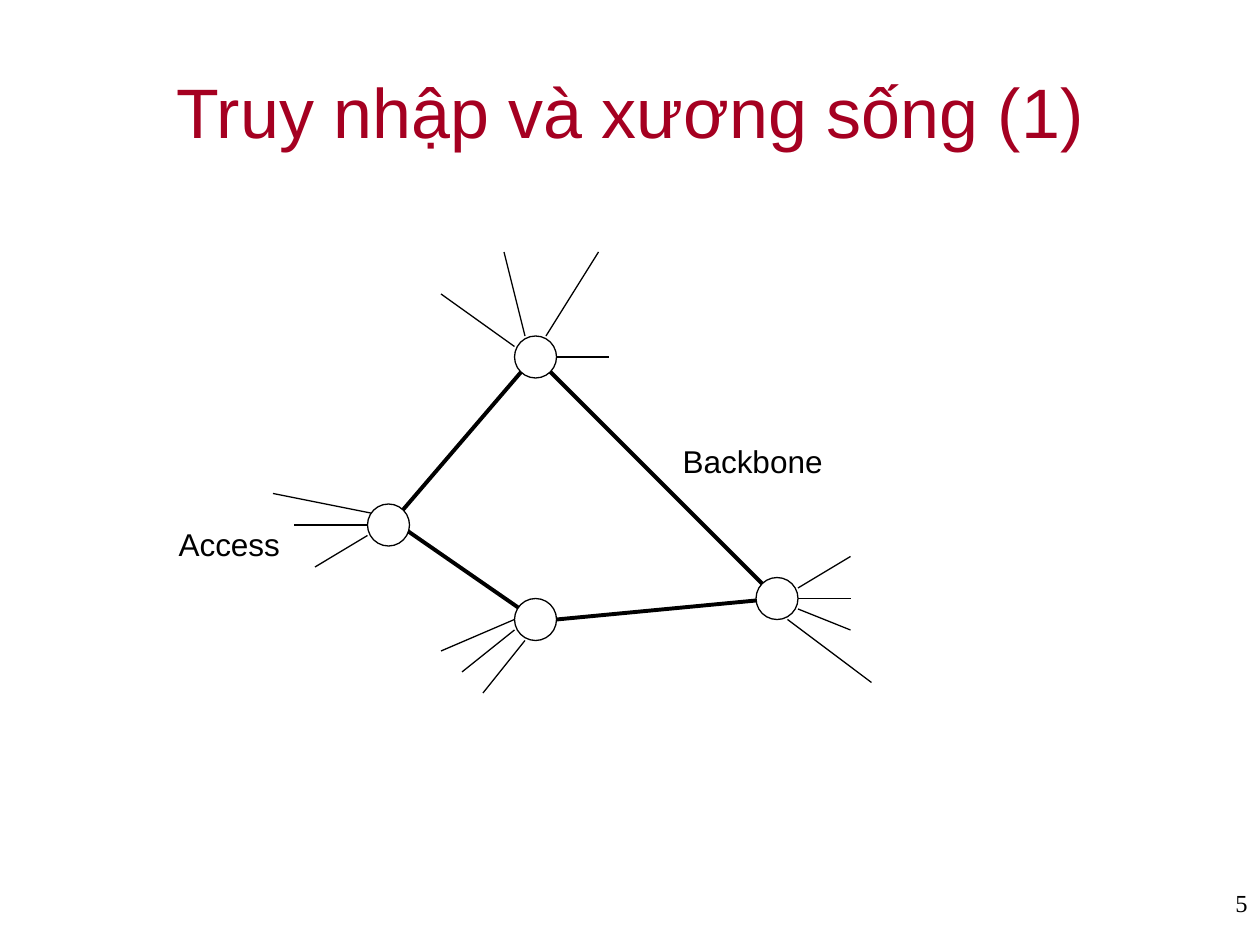
from pptx import Presentation
from pptx.dml.color import RGBColor
from pptx.enum.shapes import MSO_CONNECTOR, MSO_SHAPE
from pptx.enum.text import MSO_ANCHOR, MSO_AUTO_SIZE, PP_ALIGN
from pptx.oxml.ns import qn
from pptx.util import Cm, Pt

TITLE = "Truy nhập và xương sống (1)"
PAGE = "5"

# Network coordinates count grid steps of a twelfth of 2.54 cm.
STEP = Cm(2.54) / 12
NODE_SIZE = 4
NODES = [(35, 48), (49, 57), (72, 55), (49, 32)]  # left, top
BACKBONE = [  # x1, y1, x2, y2
    (38, 50, 51, 59), (53, 59, 74, 57), (52, 35, 73, 56), (50, 35, 38, 49),
]
ACCESS = [  # node end first, then the free end
    (35, 50, 28, 50), (35, 51, 30, 54), (36, 49, 26, 47),
    (53, 34, 58, 34), (49, 33, 42, 28), (52, 32, 57, 24), (50, 32, 48, 24),
    (76, 57, 81, 57), (76, 58, 81, 60), (76, 56, 81, 53), (75, 59, 83, 65),
    (49, 59, 42, 62), (49, 60, 44, 64), (50, 61, 46, 66),
]
LABELS = [  # text, left, top, width, height in cm
    ("Access", 3.35, 10.46, 2.57, 1.02),
    ("Backbone", 13.51, 8.79, 3.33, 1.02),
]

BLACK = RGBColor(0, 0, 0)
THEME = {
    "node": RGBColor(255, 255, 255),
    "line": BLACK,
    "thin": Pt(0.75),
    "thick": Pt(2.25),
    "title": {"name": "Arial", "size": Pt(40), "color": RGBColor(0xA5, 0, 0x21)},
    "label": {"name": "Arial", "size": Pt(18), "color": BLACK},
    "page": {"name": "Times New Roman", "size": Pt(14), "color": BLACK},
}


def grid(*values):
    return [round(v * STEP) for v in values]


def write(tf, text, style, align):
    p = tf.paragraphs[0]
    p.alignment = align
    r = p.add_run()
    r.text = text
    for key, value in THEME[style].items():
        if key == "color":
            r.font.color.rgb = value
        else:
            setattr(r.font, key, value)


def add_title(s):
    sp = s.shapes.title
    box = {"left": Cm(1.9), "top": Cm(0.64), "width": Cm(21.6), "height": Cm(3.18)}
    for key, value in box.items():
        setattr(sp, key, value)
    sp.text_frame.vertical_anchor = MSO_ANCHOR.MIDDLE
    write(sp.text_frame, TITLE, "title", PP_ALIGN.CENTER)


def add_text(s, text, box, style, align=PP_ALIGN.LEFT, wrap=True):
    tf = s.shapes.add_textbox(*map(Cm, box)).text_frame
    tf.word_wrap = wrap
    if not wrap:
        tf.auto_size = MSO_AUTO_SIZE.SHAPE_TO_FIT_TEXT
    write(tf, text, style, align)


def add_link(s, ends, weight):
    cxn = s.shapes.add_connector(MSO_CONNECTOR.STRAIGHT, *grid(*ends))
    cxn.line.color.rgb = THEME["line"]
    cxn.line.width = THEME[weight]
    sp_pr = cxn._element.spPr
    sp_pr.append(sp_pr.makeelement(qn("a:effectLst"), {}))


def add_node(s, left, top):
    sp = s.shapes.add_shape(MSO_SHAPE.OVAL, *grid(left, top, NODE_SIZE, NODE_SIZE))
    sp.shadow.inherit = False
    sp.fill.solid()
    sp.fill.fore_color.rgb = THEME["node"]
    sp.line.color.rgb = THEME["line"]
    sp.line.width = THEME["thin"]


def main():
    prs = Presentation()
    prs.slide_width, prs.slide_height = Cm(25.4), Cm(19.05)
    s = prs.slides.add_slide(prs.slide_layouts[5])

    add_text(s, PAGE, (20.12, 17.78, 5.28, 1.27), "page", PP_ALIGN.RIGHT)
    add_title(s)
    for weight, links in (("thick", BACKBONE), ("thin", ACCESS)):
        for ends in links:
            add_link(s, ends, weight)
    for node in NODES:
        add_node(s, *node)
    for text, *box in LABELS:
        add_text(s, text, box, "label", wrap=False)

    prs.save("out.pptx")


if __name__ == "__main__":
    main()
